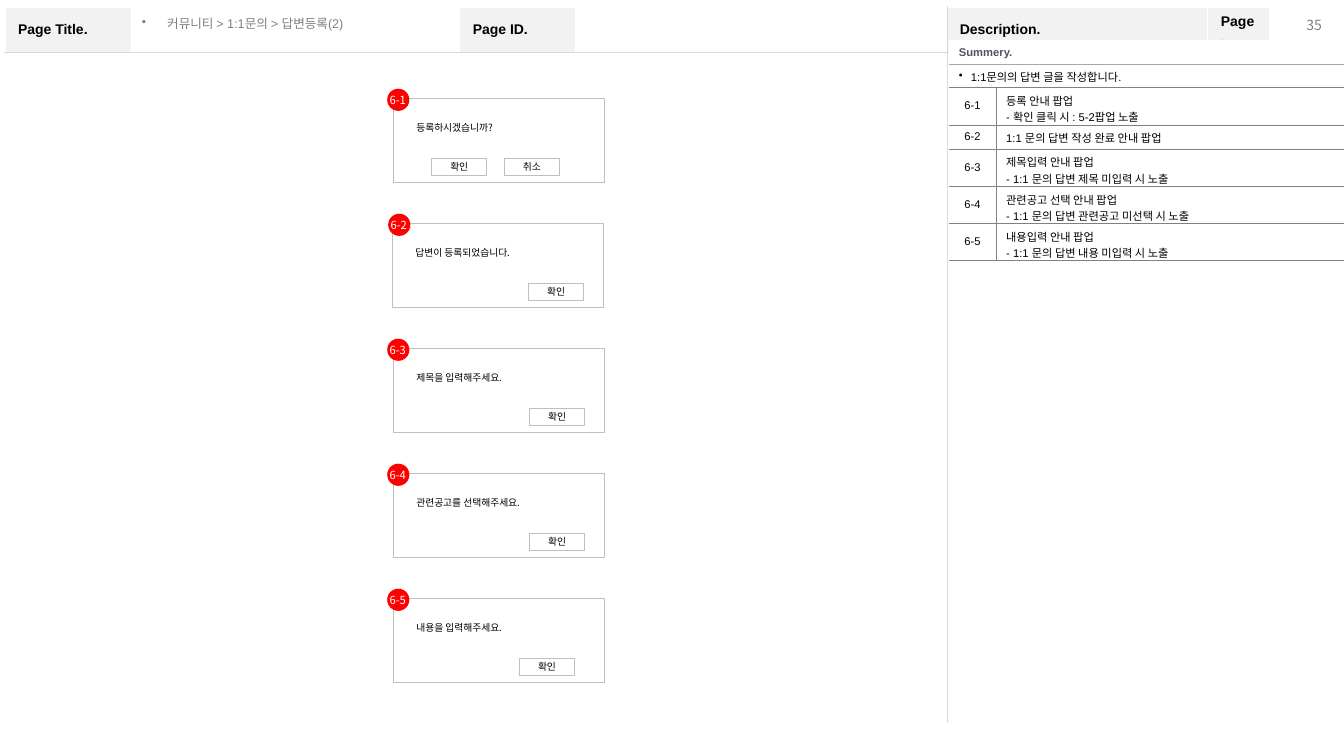
from pptx import Presentation
from pptx.dml.color import RGBColor
from pptx.enum.shapes import MSO_SHAPE
from pptx.enum.text import MSO_ANCHOR, PP_ALIGN
from pptx.oxml.ns import qn
from pptx.util import Inches, Pt
from lxml import etree

RECT, OVAL = MSO_SHAPE.RECTANGLE, MSO_SHAPE.OVAL
TOP, MIDDLE = MSO_ANCHOR.TOP, MSO_ANCHOR.MIDDLE
LEFT, CENTER, RIGHT, JUSTIFY = PP_ALIGN.LEFT, PP_ALIGN.CENTER, PP_ALIGN.RIGHT, PP_ALIGN.JUSTIFY

# Content
BREADCRUMB = "커뮤니티 > 1:1문의 > 답변등록(2)"
PAGE_NUMBER = "35"
HEADERS = ["Page Title.", "", "Page ID.", "", "Description.", "Page.", ""]
SUMMARY_TITLE = "Summery."
SUMMARY = "1:1문의의 답변 글을 작성합니다."
DETAILS = [
    ("6-1", ["등록 안내 팝업", "- 확인 클릭 시 : 5-2팝업 노출"]),
    ("6-2", ["1:1 문의 답변 작성 완료 안내 팝업"]),
    ("6-3", ["제목입력 안내 팝업", "- 1:1 문의 답변 제목 미입력 시 노출"]),
    ("6-4", ["관련공고 선택 안내 팝업", "- 1:1 문의 답변 관련공고 미선택 시 노출"]),
    ("6-5", ["내용입력 안내 팝업", "- 1:1 문의 답변 내용 미입력 시 노출"]),
]
# Tag, message, popup left, badge left, buttons as (label, offset from popup left)
POPUPS = [
    ("6-1", "등록하시겠습니까?", 3.9, 3.84, [("확인", 0.38), ("취소", 1.1)]),
    ("6-2", "답변이 등록되었습니다.", 3.89, 3.85, [("확인", 1.35)]),
    ("6-3", "제목을 입력해주세요.", 3.9, 3.84, [("확인", 1.35)]),
    ("6-4", "관련공고를 선택해주세요.", 3.9, 3.84, [("확인", 1.35)]),
    ("6-5", "내용을 입력해주세요.", 3.9, 3.84, [("확인", 1.25)]),
]

# Theme
THEME = {
    "latin": "Arial", "korean": "Noto Sans CJK KR",
    "black": "000000", "white": "FFFFFF", "panel": "F2F2F2", "red": "FF0000",
    "number": "7F7F7F", "crumb": "808080", "summary": "4E5263",
    "popup_line": "BFBFBF",
    "header_size": 10, "crumb_size": 9, "table_size": 8, "popup_size": 7,
}
BLANK_LINE = ("FFFFFF", 1)
PALE_LINE = ("D9D9D9", 0.25)
SUMMARY_LINE = ("A6A6A6", 0.25)
DETAIL_LINE = ("808080", 0.25)
PLAIN_STYLE = "{2D5ABB26-0587-4C30-8999-92F81FD0307C}"

# Layout
HEADER_AT = (0.05, 0.07)
HEADER_COLS = [1.26, 3.25, 1.15, 3.68, 2.59, 0.61, 0.68]
HEADER_ROWS = [0.33, 6.66]
DETAIL_AT = (9.41, 0.4)
DETAIL_COLS = [0.47, 3.46]
DETAIL_ROWS = [0.23, 0.23, 0.37, 0.24, 0.37, 0.37, 0.37]
POPUP_TOP, POPUP_STEP = 0.98, 1.24
CELL_INSETS = (0.1, 0.05, 0.1, 0.05)


def rgb(name):
    return RGBColor.from_string(THEME[name])


def add_bullet(p, indent):
    pPr = p._p.get_or_add_pPr()
    pPr.set("marL", str(Inches(indent)))
    pPr.set("indent", str(-Inches(indent)))
    etree.SubElement(pPr, qn("a:buChar")).set("char", "•")


def write(tf, lines, size, color="black", font="latin", bold=False,
          align=LEFT, spacing=None, bullet=None):
    for i, line in enumerate(lines):
        p = tf.paragraphs[0] if i == 0 else tf.add_paragraph()
        p.alignment = align
        if spacing:
            p.line_spacing = spacing
        if bullet:
            add_bullet(p, bullet)
        r = p.add_run()
        r.text = line
        for key, value in {"name": THEME[font], "size": Pt(THEME[size]), "bold": bold}.items():
            setattr(r.font, key, value)
        r.font.color.rgb = rgb(color)
        etree.SubElement(r._r.get_or_add_rPr(), qn("a:ea")).set("typeface", THEME["korean"])


def set_frame(target, insets, anchor):
    for side, value in zip(("left", "top", "right", "bottom"), insets):
        setattr(target, f"margin_{side}", Inches(value))
    target.vertical_anchor = anchor


def add_text(shapes, at, lines, insets=CELL_INSETS, **style):
    tf = shapes.add_textbox(*map(Inches, at)).text_frame
    tf.word_wrap = True
    set_frame(tf, insets, MIDDLE)
    write(tf, lines, **style)


def add_box(shapes, kind, at, fill="white", line=None):
    sp = shapes.add_shape(kind, *map(Inches, at))
    sp.shadow.inherit = False
    sp.fill.solid()
    sp.fill.fore_color.rgb = rgb(fill)
    if line:
        sp.line.color.rgb = rgb(line)
        sp.line.width = Pt(0.75)
    else:
        sp.line.fill.background()
    return sp


def add_plain_table(shapes, at, cols, rows):
    frame = shapes.add_table(len(rows), len(cols), *map(Inches, (*at, sum(cols), sum(rows))))
    tbl = frame.table
    tbl.first_row = tbl.horz_banding = False
    tbl._tbl.tblPr.find(qn("a:tableStyleId")).text = PLAIN_STYLE
    for col, width in zip(tbl.columns, cols):
        col.width = Inches(width)
    for row, height in zip(tbl.rows, rows):
        row.height = Inches(height)
    return tbl


def style_cell(cell, insets, fill=None, **borders):
    set_frame(cell, insets, MIDDLE)
    tcPr = cell._tc.get_or_add_tcPr()
    for side in "LRTB":
        if side in borders:
            color, width = borders[side]
            ln = etree.SubElement(tcPr, qn(f"a:ln{side}"), w=str(Pt(width)))
            solid = etree.SubElement(ln, qn("a:solidFill"))
            etree.SubElement(solid, qn("a:srgbClr"), val=color)
    if fill:
        cell.fill.solid()
        cell.fill.fore_color.rgb = rgb(fill)
    else:
        cell.fill.background()


def add_header(shapes):
    tbl = add_plain_table(shapes, HEADER_AT, HEADER_COLS, HEADER_ROWS)
    for col, label in enumerate(HEADERS):
        cell = tbl.cell(0, col)
        style_cell(cell, (0.13, 0.07, 0.13, 0.07), "panel" if label else None,
                   L=PALE_LINE if col == 4 else BLANK_LINE,
                   R=PALE_LINE if col == 3 else BLANK_LINE, T=BLANK_LINE, B=PALE_LINE)
        if label:
            write(cell.text_frame, [label], "header_size", bold=True)
    for first, last, left, right in [(0, 3, BLANK_LINE, PALE_LINE), (4, 6, PALE_LINE, BLANK_LINE)]:
        cell = tbl.cell(1, first)
        cell.merge(tbl.cell(1, last))
        style_cell(cell, CELL_INSETS, L=left, R=right, T=PALE_LINE, B=BLANK_LINE)


def add_details(shapes):
    tbl = add_plain_table(shapes, DETAIL_AT, DETAIL_COLS, DETAIL_ROWS)
    title, summary = tbl.cell(0, 0), tbl.cell(1, 0)
    for row, cell in enumerate((title, summary)):
        cell.merge(tbl.cell(row, 1))
    style_cell(title, CELL_INSETS, "white", B=SUMMARY_LINE)
    write(title.text_frame, [SUMMARY_TITLE], "table_size", "summary", bold=True)
    style_cell(summary, CELL_INSETS, T=SUMMARY_LINE, B=DETAIL_LINE)
    write(summary.text_frame, [SUMMARY], "table_size", align=JUSTIFY, bullet=0.12)
    for row, (tag, lines) in enumerate(DETAILS, start=2):
        for col, (text, align, side) in enumerate([([tag], CENTER, "R"), (lines, JUSTIFY, "L")]):
            cell = tbl.cell(row, col)
            style_cell(cell, CELL_INSETS, T=DETAIL_LINE, B=DETAIL_LINE, **{side: DETAIL_LINE})
            write(cell.text_frame, text, "table_size", align=align)


def add_popup(shapes, top, tag, message, left, badge_left, buttons):
    g = shapes.add_group_shape().shapes
    add_box(g, RECT, (left, top, 2.1, 0.83), line="popup_line")
    tf = add_box(g, RECT, (left + 0.23, top + 0.13, 1.7, 0.25)).text_frame
    tf.word_wrap = True
    set_frame(tf, (0, 0.06, 0, 0.06), TOP)
    write(tf, [message], "popup_size", font="korean", spacing=1.3)
    for label, offset in buttons:
        sp = add_box(g, RECT, (left + offset, top + 0.59, 0.55, 0.17), line="popup_line")
        set_frame(sp.text_frame, CELL_INSETS, MIDDLE)
        write(sp.text_frame, [label], "popup_size", font="korean", align=CENTER)
    add_box(g, OVAL, (badge_left, top - 0.1, 0.22, 0.22), "red")
    add_text(g, (badge_left, top - 0.12, 0.21, 0.27), [tag], (0, 0.05, 0, 0.05),
             size="table_size", color="white", font="korean", align=CENTER)


def main():
    prs = Presentation()
    prs.slide_width, prs.slide_height = Inches(13.33), Inches(7.5)
    s = prs.slides.add_slide(prs.slide_layouts[6])
    # Page frame
    add_header(s.shapes)
    add_text(s.shapes, (12.61, 0.1, 0.6, 0.3), [PAGE_NUMBER],
             size="header_size", color="number", font="korean", align=RIGHT)
    add_text(s.shapes, (1.31, 0.12, 3.24, 0.24), [BREADCRUMB],
             size="crumb_size", color="crumb", spacing=0.9, bullet=0.25)
    # Description panel
    add_details(s.shapes)
    # Popups
    for i, popup in enumerate(POPUPS):
        add_popup(s.shapes, POPUP_TOP + i * POPUP_STEP, *popup)
    prs.save("out.pptx")


if __name__ == "__main__":
    main()
